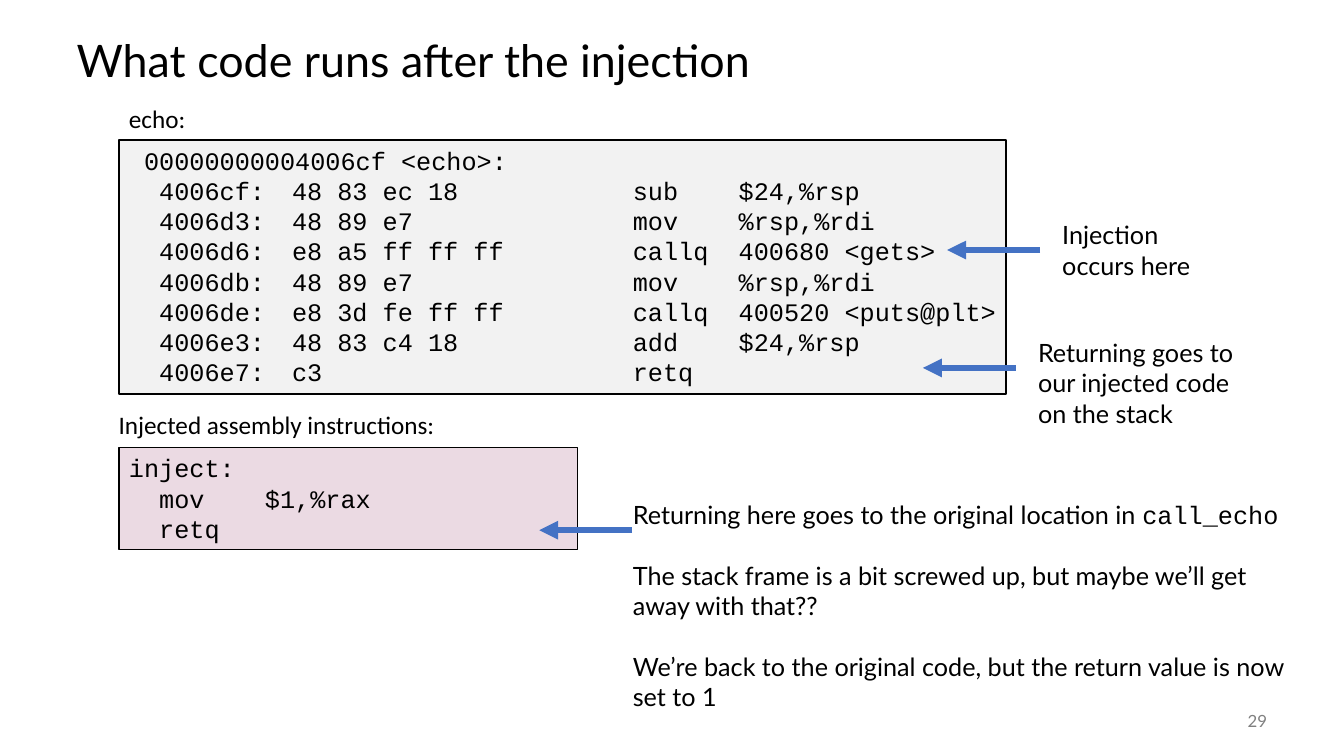
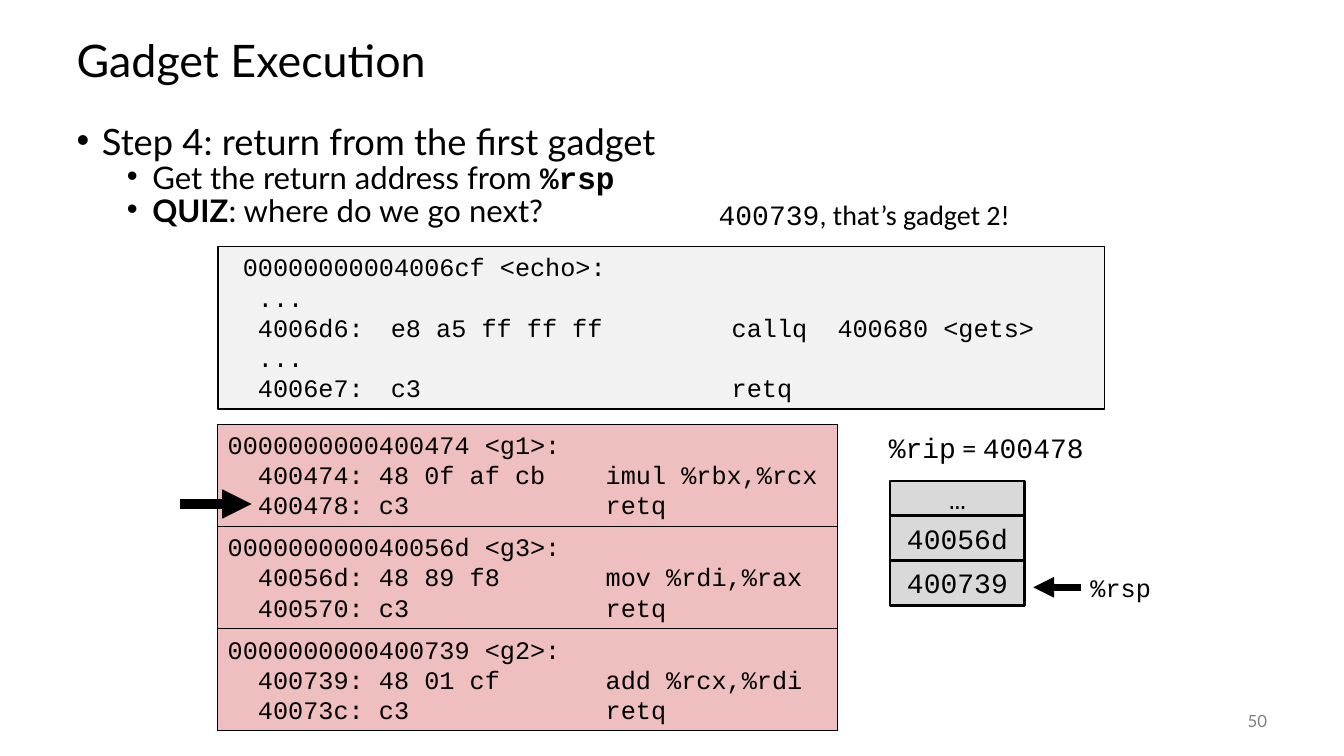
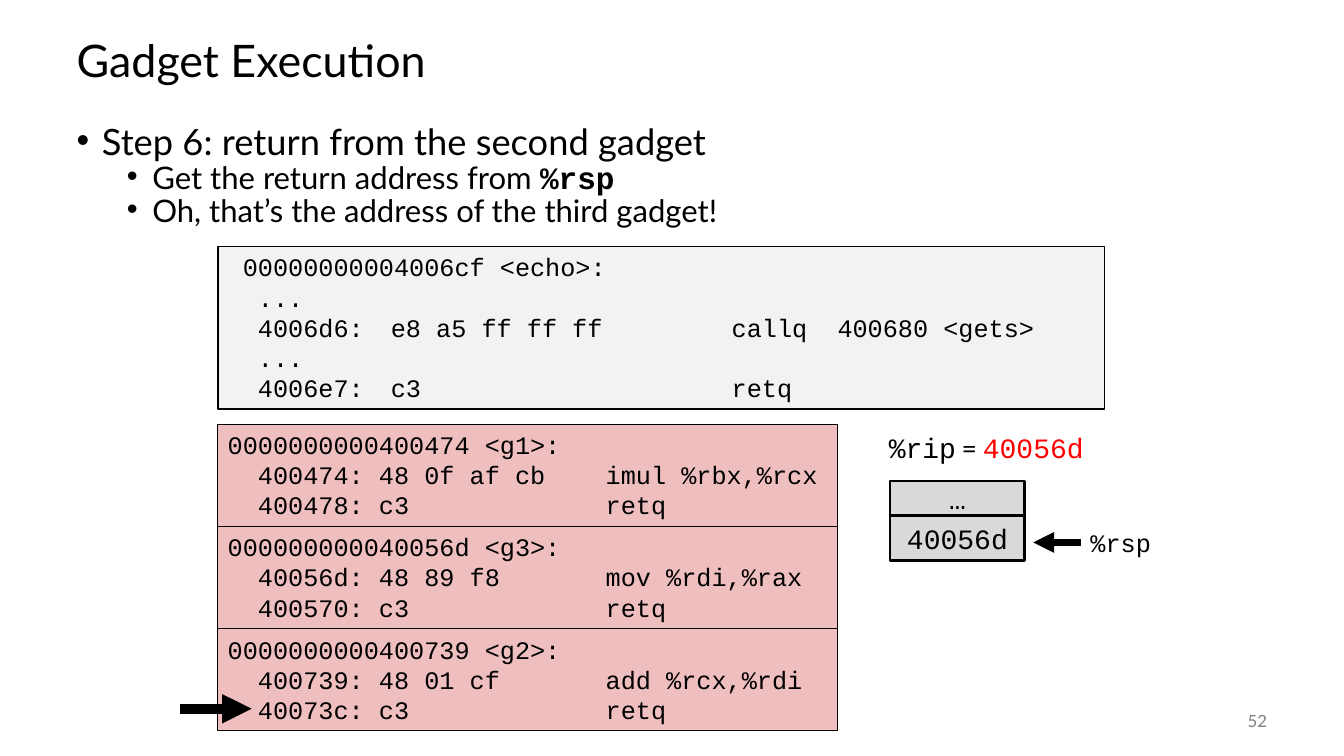
from lxml import etree
from pptx import Presentation
from pptx.dml.color import RGBColor
from pptx.enum.shapes import MSO_CONNECTOR, MSO_SHAPE
from pptx.enum.text import MSO_ANCHOR as Anchor, PP_ALIGN as Align
from pptx.oxml.ns import qn
from pptx.util import Cm, Pt

BLACK, GREY, RED, BLUE = "000000", "808080", "FF0000", "4472C4"
ECHO_FILL, INJECT_FILL, GADGET_FILL, STACK_FILL = "F2F2F2", "EBDAE3", "EFBFBF", "D9D9D9"
BODY, LABEL, CODE = "Lato", "Calibri", "Courier New"
CODE_TABS = (4.11, 12.7)
GADGET_PITCH = 2.58

ECHO_CODE = [
    " 00000000004006cf <echo>:",
    "  4006cf:\t48 83 ec 18\tsub    $24,%rsp",
    "  4006d3:\t48 89 e7\tmov    %rsp,%rdi",
    "  4006d6:\te8 a5 ff ff ff\tcallq  400680 <gets>",
    "  4006db:\t48 89 e7\tmov    %rsp,%rdi",
    "  4006de:\te8 3d fe ff ff\tcallq  400520 <puts@plt>",
    "  4006e3:\t48 83 c4 18\tadd    $24,%rsp",
    "  4006e7:\tc3\tretq",
]
SHORT_ECHO = [ECHO_CODE[0], "  ...", ECHO_CODE[3], "  ...", ECHO_CODE[-1]]
INJECT_CODE = ["inject:", "  mov    $1,%rax", "  retq"]
GADGETS = [
    ["0000000000400474 <g1>:",
     "  400474: 48 0f af cb    imul %rbx,%rcx",
     "  400478: c3             retq"],
    ["000000000040056d <g3>:",
     "  40056d: 48 89 f8       mov %rdi,%rax",
     "  400570: c3             retq"],
    ["0000000000400739 <g2>:",
     "  400739: 48 01 cf       add %rcx,%rdi",
     "  40073c: c3             retq"],
]


def color(hex_code):
    return RGBColor.from_string(hex_code)


def apply(target, values):
    """Set attributes of an object from a dict."""
    for name, value in values.items():
        setattr(target, name, value)


def write(shape, paragraphs, anchor=Anchor.TOP, layout=None, **text_format):
    """Fill a shape; a paragraph is a string or a list of (text, changes) runs."""
    frame = shape.text_frame
    apply(frame, {"word_wrap": True, "vertical_anchor": anchor})
    for index, runs in enumerate(paragraphs):
        paragraph = frame.paragraphs[0] if index == 0 else frame.add_paragraph()
        apply(paragraph, {"alignment": Align.LEFT, **(layout or {})})
        if index == 0:
            paragraph.space_before = Pt(0)
        for text, changes in [(runs, {})] if isinstance(runs, str) else runs:
            run = paragraph.add_run()
            run.text = text
            values = {"name": BODY, "size": 18, "bold": False, "color": BLACK,
                      **text_format, **changes}
            run.font.color.rgb = color(values.pop("color"))
            values["size"] = Pt(values["size"])
            apply(run.font, values)
    return frame.paragraphs


def add_text(slide, box, paragraphs, **options):
    shape = slide.shapes.add_textbox(*map(Cm, box))
    return write(shape, paragraphs, **options)


def add_box(slide, box, fill, line_width, paragraphs, **options):
    shape = slide.shapes.add_shape(MSO_SHAPE.RECTANGLE, *map(Cm, box))
    shape.shadow.inherit = False
    shape.fill.solid()
    shape.fill.fore_color.rgb = color(fill)
    shape.line.color.rgb = color(BLACK)
    shape.line.width = Pt(line_width)
    return write(shape, paragraphs, **options)


def add_code(slide, box, fill, lines, line_width=1):
    paragraphs = add_box(slide, box, fill, line_width, lines, name=CODE,
                         layout={"line_spacing": Pt(21.6)})
    for paragraph in paragraphs:
        tabs = etree.SubElement(paragraph._p.get_or_add_pPr(), qn("a:tabLst"))
        for position in CODE_TABS:
            etree.SubElement(tabs, qn("a:tab"), pos=str(Cm(position)), algn="l")


def add_arrow(slide, x, y, length, width, line_color=BLACK):
    """Draw a level arrow; a negative length points left."""
    arrow = slide.shapes.add_connector(
        MSO_CONNECTOR.STRAIGHT, Cm(x), Cm(y), Cm(x + length), Cm(y))
    arrow.line.color.rgb = color(line_color)
    arrow.line.width = Pt(width)
    etree.SubElement(arrow.line._get_or_add_ln(), qn("a:tailEnd"), type="triangle")
    etree.SubElement(arrow._element.spPr, qn("a:effectLst"))


def add_bullets(slide, box, paragraphs):
    """Write a first-level point followed by second-level points."""
    for index, paragraph in enumerate(add_text(slide, box, paragraphs, size=22.2)):
        properties = paragraph._p.get_or_add_pPr()
        apply(paragraph, {"line_spacing": 0.7, "level": min(index, 1),
                          "space_before": Pt(5 if index else 0)})
        properties.set("marL", str(Cm(1.91 if index else 0.64)))
        properties.set("indent", str(Cm(-0.64)))
        etree.SubElement(properties, qn("a:buFont"), typeface="Arial")
        etree.SubElement(properties, qn("a:buChar"), char="•")


def add_slide(presentation, title, number):
    slide = presentation.slides.add_slide(presentation.slide_layouts[6])
    add_text(slide, (1.68, 0.64, 30.48, 1.9), [title], anchor=Anchor.MIDDLE,
             layout={"line_spacing": 0.9}, size=32)
    add_text(slide, (29.64, 17.65, 2.54, 1.02), [str(number)], anchor=Anchor.MIDDLE,
             layout={"alignment": Align.RIGHT}, size=12, color=GREY)
    return slide


def add_callout(slide, x, y, note_shift, note_size, paragraphs, **options):
    """Point left from (x, y) and put a note beside the arrow's start."""
    add_arrow(slide, x, y, -2.34, 4.5, BLUE)
    add_text(slide, (x + note_shift, y - 0.89, *note_size), paragraphs, **options)


def add_gadgets(slide, left, top, current):
    """Stack the gadgets and mark the return of the current one."""
    for index, lines in enumerate(GADGETS):
        box = (left, top + index * GADGET_PITCH, 15.62, 2.57)
        add_code(slide, box, GADGET_FILL, lines, 0.75)
    add_arrow(slide, left - 0.95, top + current * GADGET_PITCH + 2.01, 1.8, 7)


def add_stack(slide, left, top, values):
    """Draw the stack, with the stack pointer at its last value."""
    for index, value in enumerate(["…", *values]):
        height = 1.13 if index else 0.87
        add_box(slide, (left, top, 3.4, height), STACK_FILL, 2, [value],
                anchor=Anchor.MIDDLE, layout={"alignment": Align.CENTER},
                name=CODE, size=20)
        top += height
    label_left, label_top = left + 4.8, top - 0.96
    add_text(slide, (label_left, label_top, 2.59, 1.02), ["%rsp"], name=CODE)
    add_arrow(slide, label_left, label_top + 0.51, -1.19, 5)


def build_injection_slide(presentation):
    slide = add_slide(presentation, "What code runs after the injection", 29)
    left = 3
    add_text(slide, (left, 2.49, 4, 1.02), ["echo:"], name=LABEL)
    add_code(slide, (left, 3.53, 22.35, 6.4), ECHO_FILL, ECHO_CODE)
    add_text(slide, (left - 0.26, 10.19, 10, 1.02),
             ["Injected assembly instructions:"], name=LABEL)
    add_code(slide, (left, 11.28, 11.56, 2.57), INJECT_FILL, INJECT_CODE)
    add_callout(slide, 26.21, 6.3, 0.31, (4.78, 1.8), ["Injection occurs here"])
    add_callout(slide, 25.6, 9.27, 0.31, (5.66, 2.57),
                ["Returning goes to our injected code on the stack"])
    add_callout(slide, 15.93, 13.36, -0.23, (17.35, 5.64), [
        [("Returning here goes to the original location in ", {}),
         ("call_echo", {"name": CODE})],
        "The stack frame is a bit screwed up, but maybe we’ll get away with that??",
        "We’re back to the original code, but the return value is now set to 1",
    ], layout={"space_before": Pt(21.6)})


def build_gadget_slide(presentation, number, step, point, current, rip, stack):
    """Show one step; rip is the (text, changes) run for the register."""
    slide = add_slide(presentation, "Gadget Execution", number)
    add_bullets(slide, (1.68, 3.18, 30.48, 2.74), [
        [(step, {"size": 25.9})],
        [("Get the return address from ", {}), ("%rsp", {"name": CODE, "bold": True})],
        point,
    ])
    add_code(slide, (5.49, 6.22, 22.35, 4.09), ECHO_FILL, SHORT_ECHO)
    add_gadgets(slide, 5.49, 10.69, current)
    add_text(slide, (22.15, 10.72, 7, 1.12),
             [[("%rip", {}), (" = ", {"name": LABEL}), rip]], name=CODE, size=20)
    add_stack(slide, 22.43, 12.12, stack)
    return slide


def main():
    presentation = Presentation()
    apply(presentation, {"slide_width": Cm(33.87), "slide_height": Cm(19.05)})
    build_injection_slide(presentation)
    quiz = build_gadget_slide(
        presentation, 50, "Step 4: return from the first gadget",
        [("QUIZ", {"bold": True}), (": where do we go next?", {})],
        0, ("400478", {}), ["40056d", "400739"])
    add_text(quiz, (17.86, 4.85, 9, 1.12),
             [[("400739", {"name": CODE}), (", that’s gadget 2!", {})]],
             name=LABEL, size=20)
    build_gadget_slide(
        presentation, 52, "Step 6: return from the second gadget",
        "Oh, that’s the address of the third gadget!",
        2, ("40056d", {"color": RED}), ["40056d"])
    presentation.save("out.pptx")


if __name__ == "__main__":
    main()
